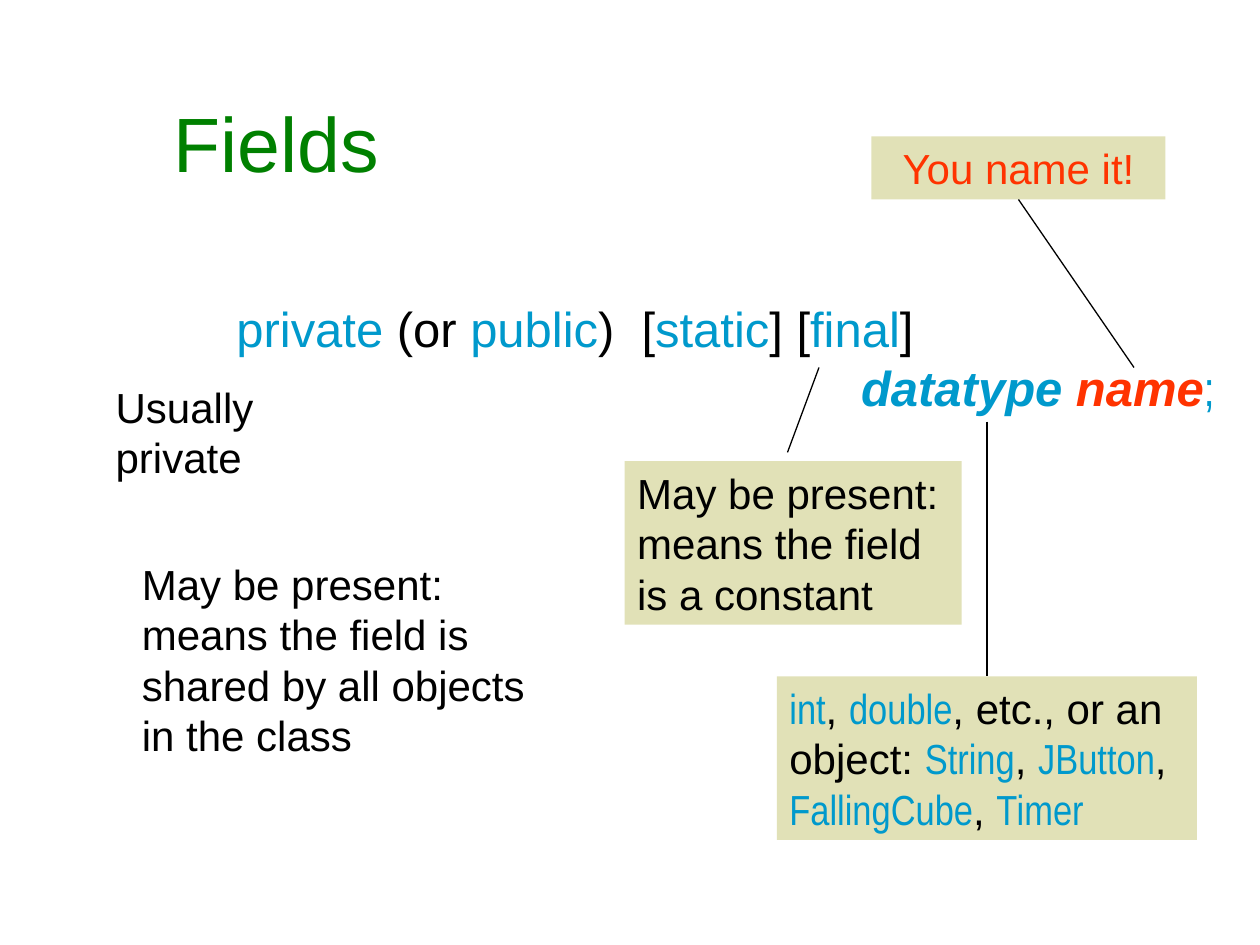
from lxml.etree import SubElement
from pptx import Presentation
from pptx.dml.color import RGBColor
from pptx.enum.shapes import MSO_CONNECTOR, MSO_SHAPE
from pptx.enum.text import MSO_ANCHOR, PP_ALIGN
from pptx.oxml.ns import qn
from pptx.util import Pt

BLACK, BLUE, RED, GREEN, KHAKI = "000000", "0099CC", "FF3300", "008000", "E1E1B7"
SANS, NARROW = "Arial", "Arial Narrow"

# Text styles: font, colour, bold italic
PLAIN = (SANS, BLACK, False)
KEYWORD = (SANS, BLUE, False)
CODE = (NARROW, BLUE, False)
TYPE_SLOT = (SANS, BLUE, True)
NAME_SLOT = (SANS, RED, True)
NAME_NOTE = (SANS, RED, False)

# Content; lengths in points
TITLE = ("Fields", (92, 36, 612, 90))

DECLARATION_BOX = (92, 167, 612, 75)
DECLARATION = [  # left indent, runs
    (36, [("private ", KEYWORD), ("(or ", PLAIN), ("public", KEYWORD), (")  [", PLAIN),
          ("static", KEYWORD), ("] [", PLAIN), ("final", KEYWORD), ("]", PLAIN)]),
    (393, [("datatype ", TYPE_SLOT), ("name", NAME_SLOT), (";", CODE)]),
]

LEFT, CENTER = PP_ALIGN.LEFT, PP_ALIGN.CENTER
NOTES = [  # box, fill, alignment, runs
    ((59, 214.5, 98, 65), None, LEFT, [("Usually private", PLAIN)]),
    ((74, 315.5, 236, 122.5), None, LEFT,
     [("May be present: means the field is shared by all objects in the class", PLAIN)]),
    ((357, 263.5, 192.5, 93.5), KHAKI, LEFT,
     [("May be present: means the field is a constant", PLAIN)]),
    ((444, 386.5, 240, 93.5), KHAKI, LEFT,
     [("int", CODE), (", ", PLAIN), ("double", CODE), (", etc., or an object: ", PLAIN),
      ("String", CODE), (", ", PLAIN), ("JButton", CODE), (", ", PLAIN),
      ("FallingCube", CODE), (", ", PLAIN), ("Timer", CODE)]),
    ((498, 78, 168, 36), KHAKI, CENTER, [("You name it!", NAME_NOTE)]),
]

POINTERS = [  # from x, y to x, y
    (468, 210, 450, 258.5),
    (564, 241, 564, 386.5),
    (582, 114, 648, 210),
]


def rgb(color):
    return RGBColor.from_string(color)


def points(lengths):
    return [Pt(length) for length in lengths]


def write_runs(paragraph, runs, size):
    paragraph.line_spacing = Pt(size * 1.2)
    for text, (font, color, strong) in runs:
        run = paragraph.add_run()
        run.text = text
        run.font.name, run.font.size = font, Pt(size)
        run.font.bold = run.font.italic = strong
        run.font.color.rgb = rgb(color)


prs = Presentation()
prs.slide_width, prs.slide_height = Pt(720), Pt(540)
slide = prs.slides.add_slide(prs.slide_layouts[5])
shapes = slide.shapes

# Title
title = shapes.title
text, box = TITLE
title.left, title.top, title.width, title.height = points(box)
title.text_frame.text = text
title.text_frame.vertical_anchor = MSO_ANCHOR.MIDDLE
heading = title.text_frame.paragraphs[0]
heading.alignment = LEFT
heading.font.name, heading.font.size = SANS, Pt(44)
heading.font.color.rgb = rgb(GREEN)

# Field declaration
declaration = shapes.add_textbox(*points(DECLARATION_BOX)).text_frame
declaration.word_wrap = True
for i, (indent, runs) in enumerate(DECLARATION):
    line = declaration.add_paragraph() if i else declaration.paragraphs[0]
    line._p.get_or_add_pPr().set("marL", str(Pt(indent)))
    write_runs(line, runs, 28)

# Notes
for box, fill, alignment, runs in NOTES:
    note = shapes.add_shape(MSO_SHAPE.RECTANGLE, *points(box))
    note.shadow.inherit = False
    note.line.fill.background()
    if fill:
        note.fill.solid()
        note.fill.fore_color.rgb = rgb(fill)
    else:
        note.fill.background()
    note.text_frame.word_wrap = True
    note.text_frame.vertical_anchor = MSO_ANCHOR.TOP
    paragraph = note.text_frame.paragraphs[0]
    paragraph.alignment = alignment
    write_runs(paragraph, runs, 24)

# Pointers from notes to the declaration
for ends in POINTERS:
    pointer = shapes.add_connector(MSO_CONNECTOR.STRAIGHT, *points(ends))
    pointer.line.color.rgb = rgb(BLACK)
    pointer.line.width = Pt(0.75)
    SubElement(pointer._element.spPr, qn("a:effectLst"))

prs.save("out.pptx")
